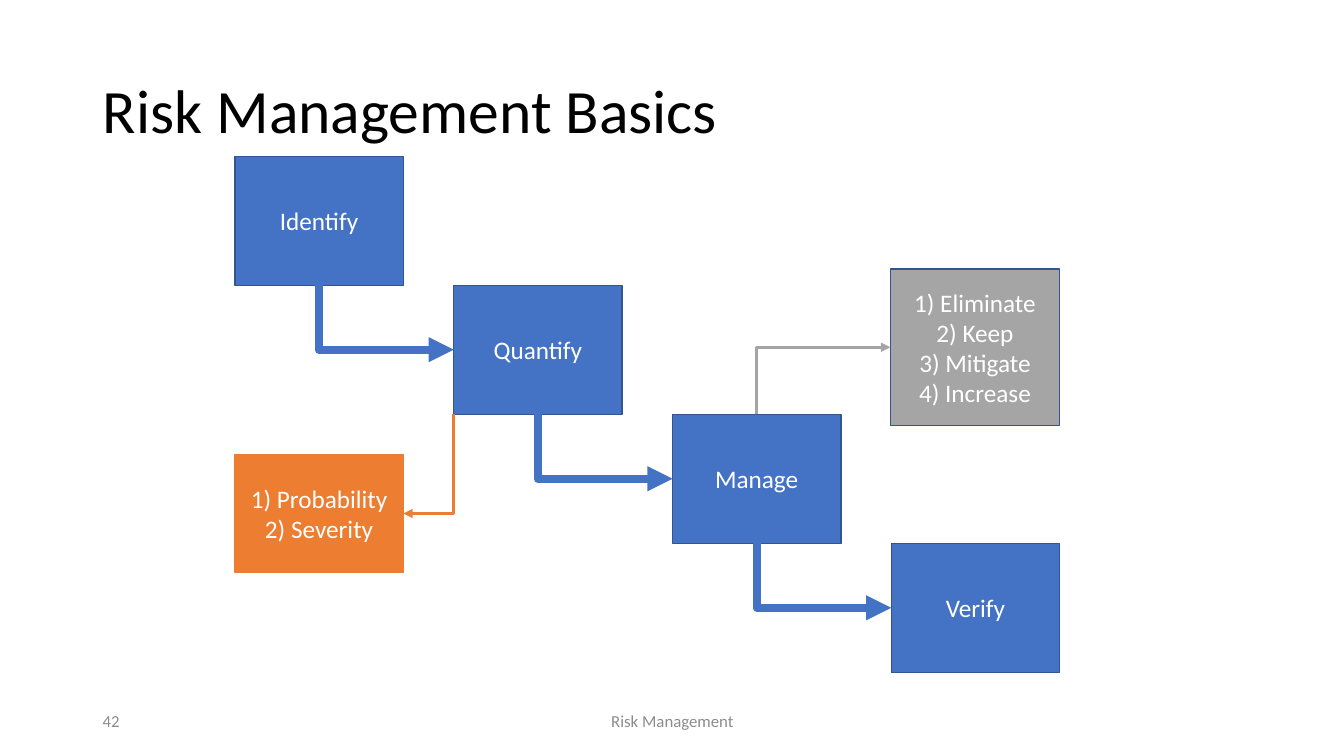
from lxml import etree
from pptx import Presentation
from pptx.dml.color import RGBColor
from pptx.enum.shapes import MSO_CONNECTOR, MSO_SHAPE
from pptx.enum.text import MSO_ANCHOR, MSO_AUTO_SIZE, PP_ALIGN
from pptx.oxml.ns import qn
from pptx.util import Inches, Pt

ELBOW = MSO_CONNECTOR.ELBOW
RECTANGLE = MSO_SHAPE.RECTANGLE
MIDDLE = MSO_ANCHOR.MIDDLE
LEFT, CENTER = PP_ALIGN.LEFT, PP_ALIGN.CENTER
TOP_SIDE, LEFT_SIDE, BOTTOM_SIDE = 0, 1, 2

FONT = "Calibri"
COLORS = {
    "black": "000000",
    "white": "FFFFFF",
    "footer": "8C8C8C",
    "blue": "4472C4",
    "outline": "325491",
    "orange": "ED7D31",
    "gray": "A5A5A5",
}
STEPS = ["Identify", "Quantify", "Manage", "Verify"]
STEP_LEFT, STEP_TOP = 2.33, 1.55
STEP_WIDTH, STEP_HEIGHT = 1.67, 1.28
STEP_PITCH = 2.17


def color(name):
    return RGBColor.from_string(COLORS[name])


def write_text(shape, lines, size, color_name, alignment):
    frame = shape.text_frame
    frame.word_wrap = True
    frame.auto_size = MSO_AUTO_SIZE.NONE
    frame.vertical_anchor = MIDDLE
    frame.text = "\n".join(lines)
    for paragraph in frame.paragraphs:
        paragraph.alignment = alignment
        paragraph.font.name = FONT
        paragraph.font.size = Pt(size)
        paragraph.font.color.rgb = color(color_name)


def add_title(slide, text):
    title = slide.shapes.title
    title.left, title.top = Inches(0.92), Inches(0.4)
    title.width, title.height = Inches(11.5), Inches(1.45)
    write_text(title, [text], 44, "black", LEFT)
    title.text_frame.paragraphs[0].line_spacing = 0.9


def add_footer(slide, text, left, width, alignment):
    box = slide.shapes.add_textbox(
        Inches(left), Inches(6.95), Inches(width), Inches(0.4))
    write_text(box, [text], 12, "footer", alignment)


def add_box(slide, lines, left, top, width, height, fill, outline="outline"):
    box = slide.shapes.add_shape(
        RECTANGLE, Inches(left), Inches(top), Inches(width), Inches(height))
    box.shadow.inherit = False
    box.fill.solid()
    box.fill.fore_color.rgb = color(fill)
    box.line.color.rgb = color(outline)
    box.line.width = Pt(1)
    write_text(box, lines, 18, "white", CENTER)
    return box


def add_elbow_arrow(slide, start, end, color_name, width):
    """Draw an arrow that runs vertically from start, then horizontally to end."""
    connector = slide.shapes.add_connector(ELBOW, *start, *end)
    connector.line.color.rgb = color(color_name)
    connector.line.width = Pt(width)
    line = connector.line._get_or_add_ln()
    etree.SubElement(line, qn("a:tailEnd"), type="triangle")
    properties = connector._element.spPr
    etree.SubElement(properties, qn("a:effectLst"))
    properties.find(qn("a:prstGeom")).set("prst", "bentConnector2")
    turn_elbow(connector, start, end)
    return connector


def turn_elbow(connector, start, end):
    """Rotate the one-bend outline so that its vertical leg comes first."""
    (start_x, start_y), (end_x, end_y) = start, end
    rise, run = abs(end_y - start_y), abs(end_x - start_x)
    connector.left = (start_x + end_x - rise) // 2
    connector.top = (start_y + end_y - run) // 2
    connector.width, connector.height = rise, run
    goes_right, goes_down = end_x > start_x, end_y > start_y
    frame = connector._element.spPr.find(qn("a:xfrm"))
    frame.set("rot", str((270 if goes_right else 90) * 60000))
    frame.set("flipH", "1" if goes_right == goes_down else "0")
    frame.set("flipV", "0")


def join_boxes(slide, source, source_side, target, color_name, width):
    """Link the top or bottom of source to the left side of target."""
    edge = source.top + (source.height if source_side == BOTTOM_SIDE else 0)
    start = (source.left + source.width // 2, edge)
    end = (target.left, target.top + target.height // 2)
    connector = add_elbow_arrow(slide, start, end, color_name, width)
    connector.begin_connect(source, source_side)
    connector.end_connect(target, LEFT_SIDE)
    turn_elbow(connector, start, end)


def main():
    presentation = Presentation()
    presentation.slide_width = Inches(13.33)
    presentation.slide_height = Inches(7.5)
    slide = presentation.slides.add_slide(presentation.slide_layouts[5])

    add_title(slide, "Risk Management Basics")
    add_footer(slide, "42", 0.92, 3, LEFT)
    add_footer(slide, "Risk Management", 4.42, 4.5, CENTER)

    steps = [
        add_box(slide, [name], STEP_LEFT + i * STEP_PITCH,
                STEP_TOP + i * STEP_HEIGHT, STEP_WIDTH, STEP_HEIGHT, "blue")
        for i, name in enumerate(STEPS)
    ]
    for step, next_step in zip(steps, steps[1:]):
        join_boxes(slide, step, BOTTOM_SIDE, next_step, "blue", 6)

    quantify, manage = steps[1:3]
    measures = add_box(slide, ["1) Probability", "2) Severity"],
                       STEP_LEFT, 4.51, STEP_WIDTH, 1.17, "orange", "orange")
    responses = add_box(
        slide, ["1) Eliminate", "2) Keep", "3) Mitigate", "4) Increase"],
        8.83, 2.67, 1.68, 1.55, "gray")

    quantify_corner = (quantify.left, quantify.top + quantify.height)
    measures_side = (measures.left + measures.width,
                     measures.top + measures.height // 2)
    add_elbow_arrow(slide, quantify_corner, measures_side, "orange", 2.25)
    join_boxes(slide, manage, TOP_SIDE, responses, "gray", 2.25)

    presentation.save("out.pptx")


if __name__ == "__main__":
    main()
